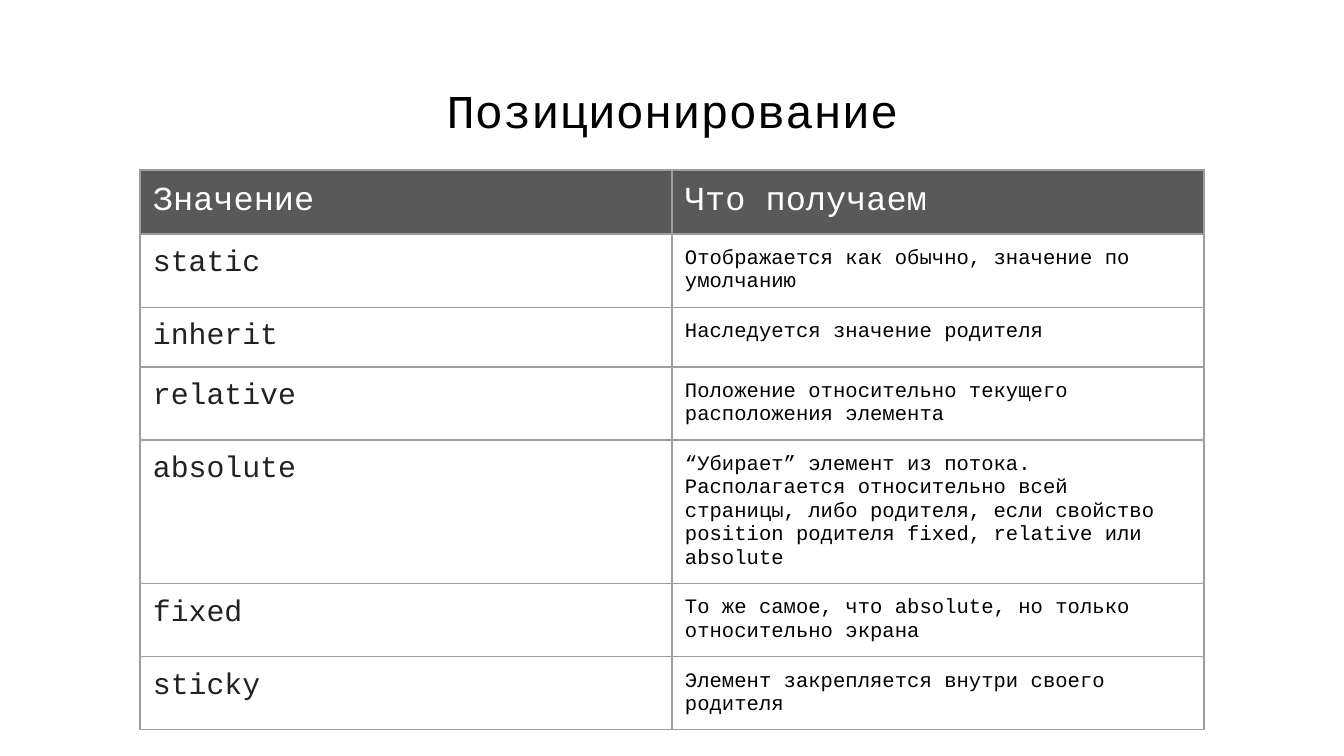
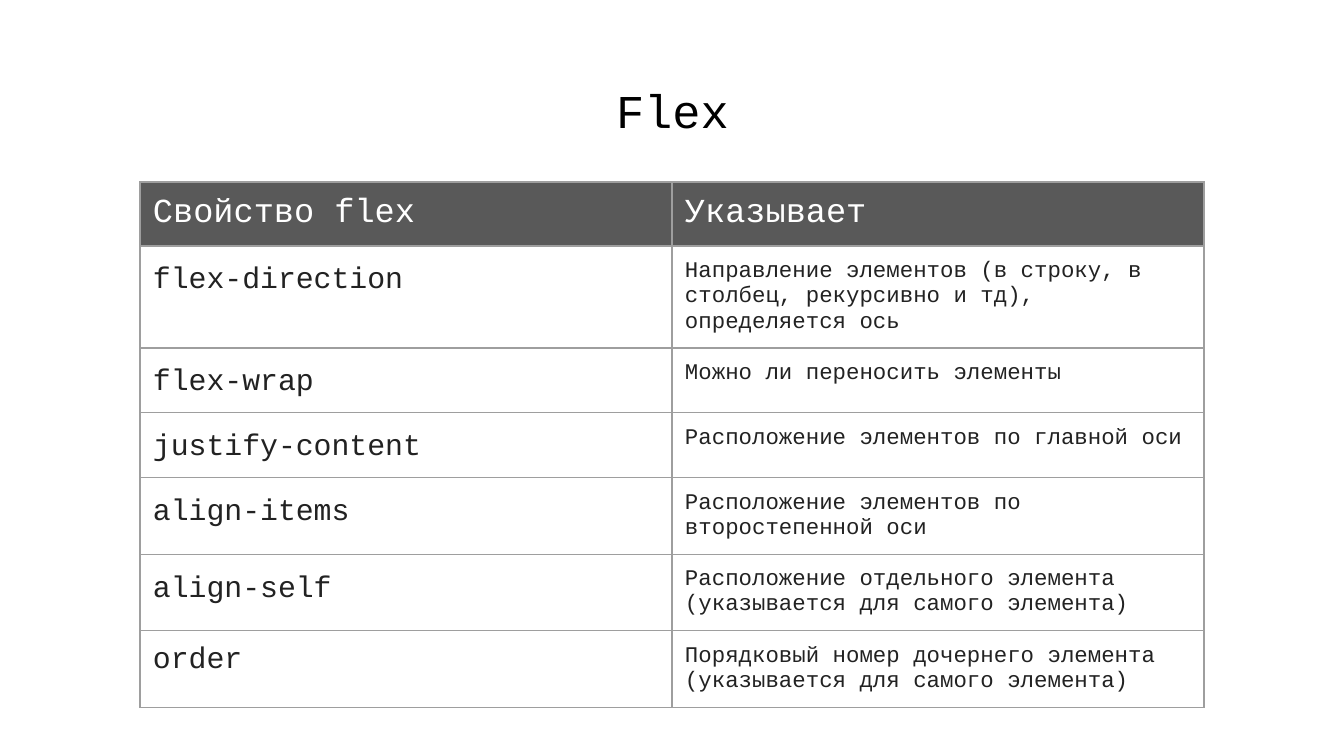
from pptx import Presentation
from pptx.dml.color import RGBColor
from pptx.enum.text import MSO_ANCHOR, PP_ALIGN
from pptx.oxml import parse_xml
from pptx.oxml.ns import nsdecls
from pptx.util import Emu, Pt

# Shared look: 1344 px across a 10 inch page
PX = 9144000 / 1344
FONT = "Courier New"
COLOURS = {
    "title": "000000",
    "header_text": "FFFFFF",
    "header_fill": "595959",
    "dark": "222222",
    "black": "000000",
    "border": "9E9E9E",
    "page": "FFFFFF",
}
TITLE_ONLY = 5
TITLE_BOX = {"left": 46, "top": 66, "width": 1253, "height": 85}
INSET = 13
TABLE_LEFT, COLUMN_WIDTH, ROW_HEIGHT = 140, 532, 56
BORDER_WIDTH = Pt(0.75)

# Slide content: header row, then names and explanations
POSITION_ROWS = [
    ("Значение", "Что получаем"),
    ("static", "Отображается как обычно, значение по умолчанию"),
    ("inherit", "Наследуется значение родителя"),
    ("relative", "Положение относительно текущего расположения элемента"),
    ("absolute", "“Убирает” элемент из потока. Располагается относительно всей "
                 "страницы, либо родителя, если свойство position родителя "
                 "fixed, relative или absolute"),
    ("fixed", "То же самое, что absolute, но только относительно экрана"),
    ("sticky", "Элемент закрепляется внутри своего родителя"),
]
FLEX_ROWS = [
    ("Свойство flex", "Указывает"),
    ("flex-direction", "Направление элементов (в строку, в столбец, "
                       "рекурсивно и тд), определяется ось"),
    ("flex-wrap", "Можно ли переносить элементы"),
    ("justify-content", "Расположение элементов по главной оси"),
    ("align-items", "Расположение элементов по второстепенной оси"),
    ("align-self", "Расположение отдельного элемента "
                   "(указывается для самого элемента)"),
    ("order", "Порядковый номер дочернего элемента "
              "(указывается для самого элемента)"),
]


def px(length):
    return Emu(round(length * PX))


def set_all(target, values):
    for name, value in values.items():
        setattr(target, name, value)


def write(frame, text, size, colour, **para_format):
    para = frame.paragraphs[0]
    set_all(para, para_format)
    span = para.add_run()
    span.text = text
    set_all(span.font, {"name": FONT, "size": Pt(size), "bold": False})
    span.font.color.rgb = RGBColor.from_string(COLOURS[colour])


def insets(prefix="margin_"):
    return {prefix + side: px(INSET) for side in ("left", "top", "right", "bottom")}


def add_page(deck, title):
    page = deck.slides.add_slide(deck.slide_layouts[TITLE_ONLY])
    page.background.fill.solid()
    page.background.fill.fore_color.rgb = RGBColor.from_string(COLOURS["page"])
    box = page.shapes.title
    set_all(box, {name: px(value) for name, value in TITLE_BOX.items()})
    set_all(box.text_frame, {**insets(), "word_wrap": True,
                             "vertical_anchor": MSO_ANCHOR.BOTTOM})
    write(box.text_frame, title, 25.2, "title", alignment=PP_ALIGN.CENTER)
    return page


def add_borders(cell):
    properties = cell._tc.get_or_add_tcPr()
    for side in "LRTB":
        properties.append(parse_xml(
            f'<a:ln{side} {nsdecls("a")} w="{BORDER_WIDTH}"><a:solidFill>'
            f'<a:srgbClr val="{COLOURS["border"]}"/></a:solidFill></a:ln{side}>'))


def format_cell(cell, fill=None):
    set_all(cell, {**insets(), "vertical_anchor": MSO_ANCHOR.TOP})
    add_borders(cell)
    if fill:
        cell.fill.solid()
        cell.fill.fore_color.rgb = RGBColor.from_string(COLOURS[fill])
    else:
        cell.fill.background()


def add_property_table(page, top, rows, text_size, text_colour, spaced=()):
    """Add a two-column table; names listed in spaced get looser lines."""
    table = page.shapes.add_table(
        len(rows), 2, px(TABLE_LEFT), px(top),
        px(2 * COLUMN_WIDTH), px(len(rows) * ROW_HEIGHT)).table
    set_all(table, {"first_row": True, "horz_banding": False})
    for index, (name, meaning) in enumerate(rows):
        left, right = table.cell(index, 0), table.cell(index, 1)
        header = index == 0
        for cell in (left, right):
            format_cell(cell, "header_fill" if header else None)
        if header:
            write(left.text_frame, name, 18, "header_text")
            write(right.text_frame, meaning, 18, "header_text")
        else:
            looser = {"line_spacing": 1.15} if name in spaced else {}
            write(left.text_frame, name, 16, "dark", **looser)
            write(right.text_frame, meaning, text_size, text_colour)


def main():
    deck = Presentation()
    set_all(deck, {"slide_width": px(1344), "slide_height": px(756)})

    # Values of position
    page = add_page(deck, "Позиционирование")
    add_property_table(page, 170, POSITION_ROWS, 11, "black")

    # Flex properties: all names but the last are set looser
    page = add_page(deck, "Flex")
    spaced = [name for name, _ in FLEX_ROWS[1:-1]]
    add_property_table(page, 182, FLEX_ROWS, 12, "dark", spaced)

    deck.save("out.pptx")


if __name__ == "__main__":
    main()
